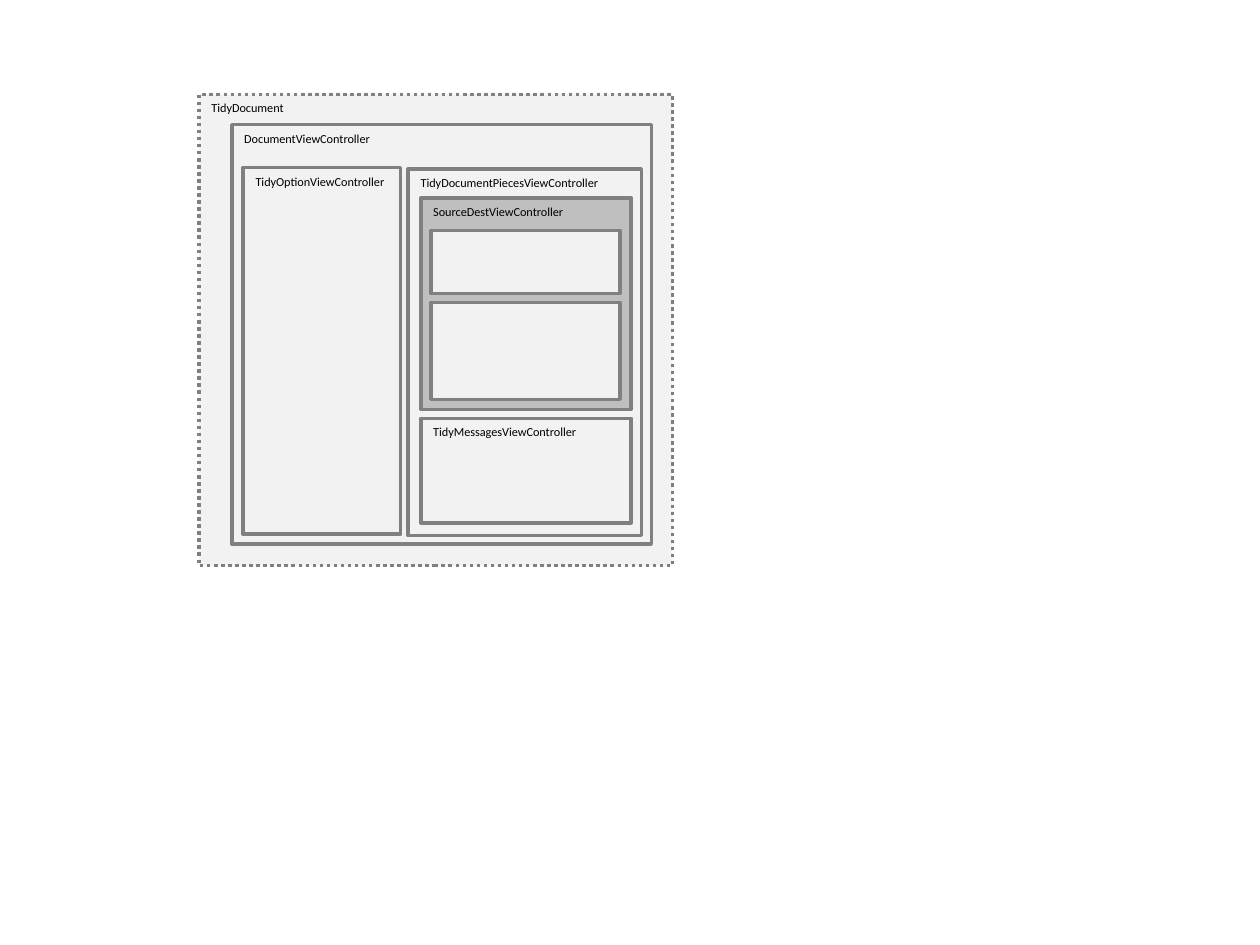
import pptx
import pptx.util
import pptx.dml.color
import pptx.enum.dml
import pptx.enum.shapes
import pptx.enum.text

Inches = pptx.util.Inches
Pt = pptx.util.Pt


def color(hex_string):
    return pptx.dml.color.RGBColor.from_string(hex_string)


presentation = pptx.Presentation()
presentation.slide_width = Inches(10)
presentation.slide_height = Inches(7.5)
slide = presentation.slides.add_slide(presentation.slide_layouts[6])

LIGHT, MEDIUM, BORDER, TEXT = "F2F2F2", "BFBFBF", "808080", "000000"

# Nested boxes, outermost first: label, left, top, width, height, fill
boxes = [
    ("TidyDocument", 1.58, 0.75, 3.76, 3.74, LIGHT),
    ("DocumentViewController", 1.84, 0.99, 3.33, 3.33, LIGHT),
    ("TidyOptionViewController", 1.93, 1.33, 1.25, 2.91, LIGHT),
    ("TidyDocumentPiecesViewController", 3.24, 1.34, 1.85, 2.91, LIGHT),
    ("TidyMessagesViewController", 3.34, 3.32, 1.67, 0.83, LIGHT),
    ("SourceDestViewController", 3.34, 1.57, 1.67, 1.68, MEDIUM),
    ("", 3.42, 1.83, 1.5, 0.5, LIGHT),
    ("", 3.42, 2.4, 1.5, 0.77, LIGHT),
]

for label, left, top, width, height, fill in boxes:
    shape = slide.shapes.add_shape(
        pptx.enum.shapes.MSO_SHAPE.RECTANGLE,
        Inches(left), Inches(top), Inches(width), Inches(height))
    shape.shadow.inherit = False
    shape.fill.solid()
    shape.fill.fore_color.rgb = color(fill)
    shape.line.color.rgb = color(BORDER)
    shape.line.width = Pt(2)

    # The document is the only box with a dotted border
    if label == "TidyDocument":
        shape.line.dash_style = pptx.enum.dml.MSO_LINE.ROUND_DOT

    # Label in the top left corner
    if label:
        text_frame = shape.text_frame
        text_frame.word_wrap = True
        text_frame.vertical_anchor = pptx.enum.text.MSO_ANCHOR.TOP
        paragraph = text_frame.paragraphs[0]
        paragraph.alignment = pptx.enum.text.PP_ALIGN.LEFT
        run = paragraph.add_run()
        run.text = label
        run.font.name = "Calibri"
        run.font.size = Pt(7)
        run.font.color.rgb = color(TEXT)

presentation.save("out.pptx")
